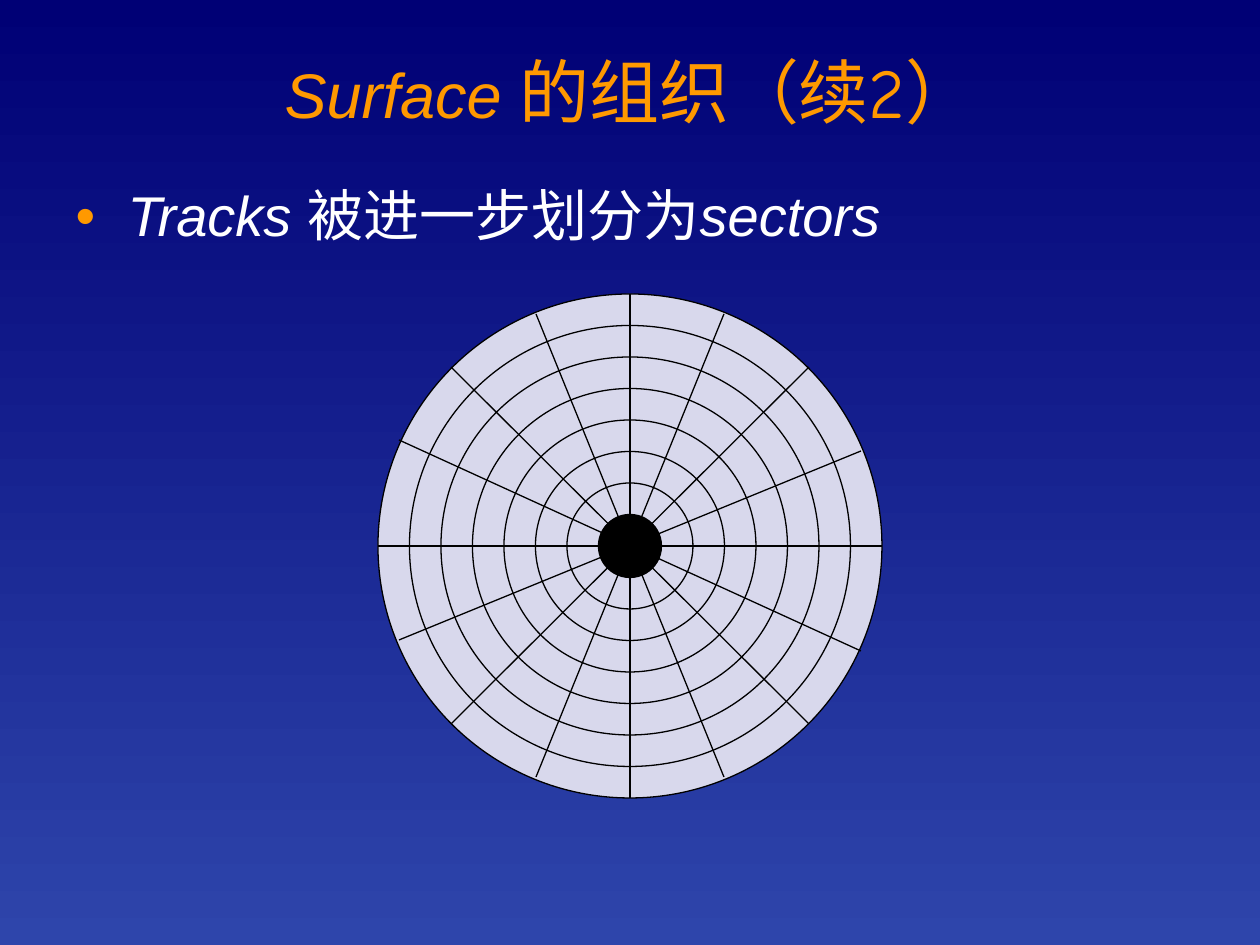
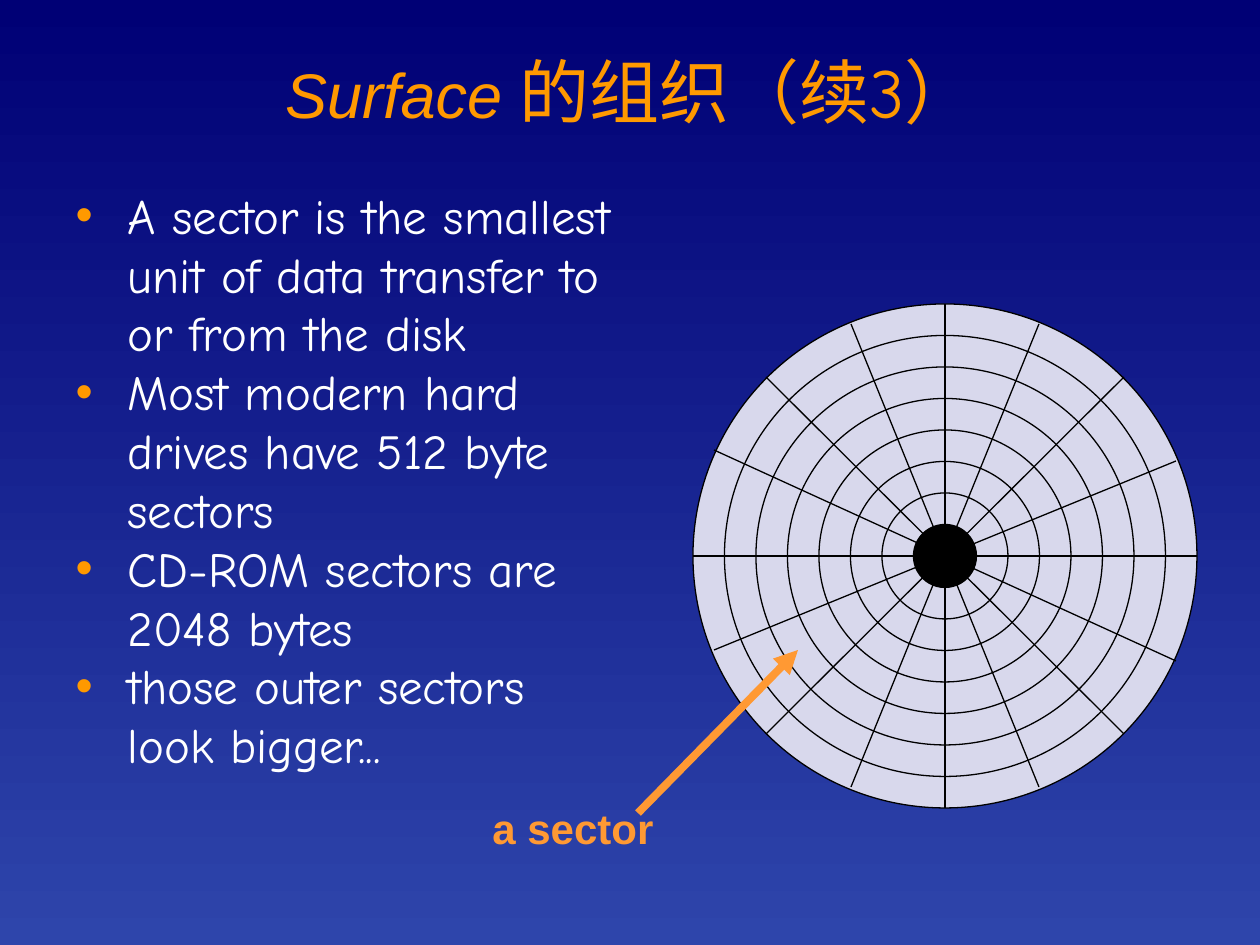
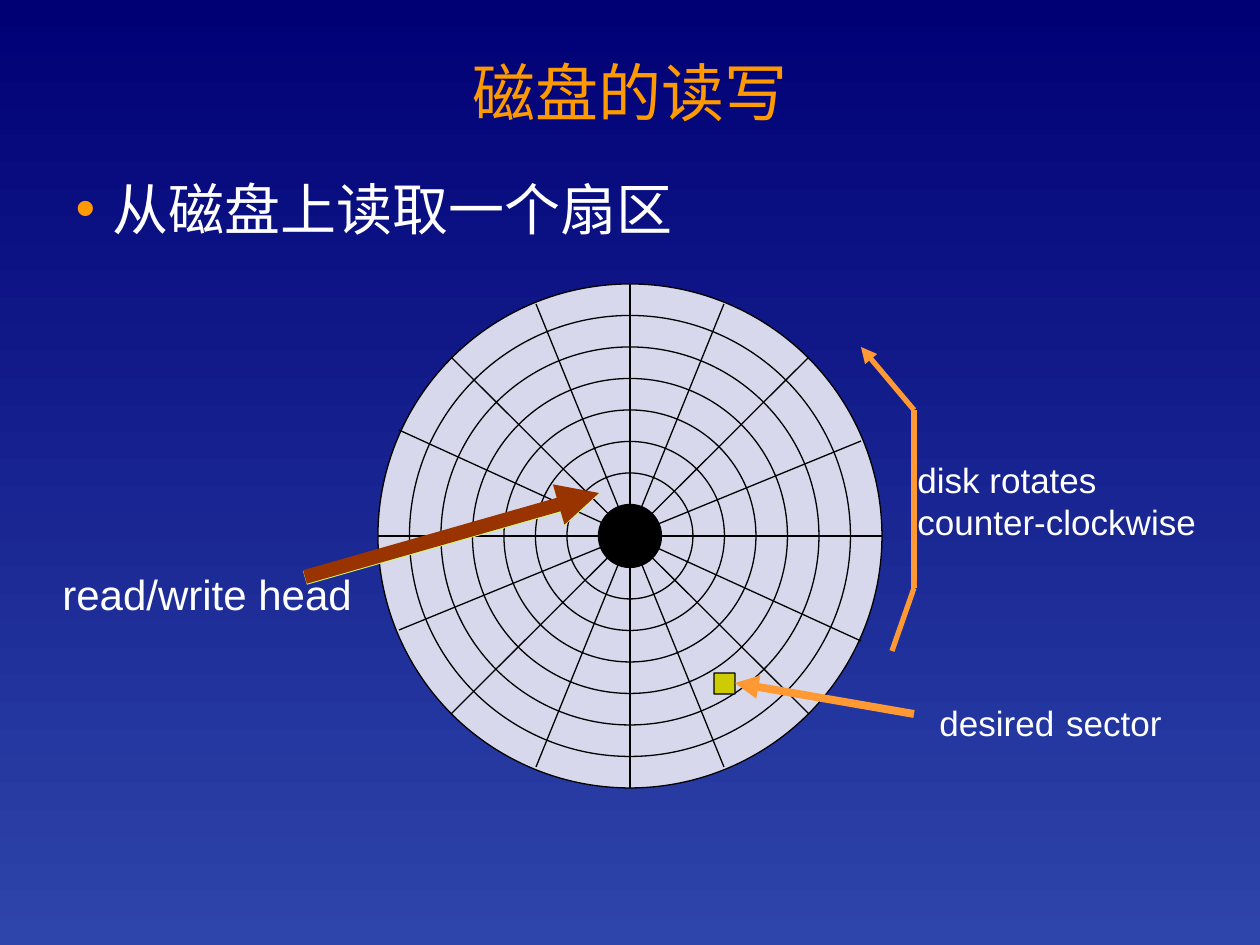
from copy import deepcopy
from dataclasses import dataclass
from itertools import pairwise

from lxml import etree
from pptx import Presentation
from pptx.dml.color import RGBColor
from pptx.enum.shapes import MSO_CONNECTOR, MSO_SHAPE
from pptx.enum.text import MSO_ANCHOR, MSO_AUTO_SIZE, PP_ALIGN
from pptx.oxml.ns import qn
from pptx.util import Emu, Pt

STRAIGHT = MSO_CONNECTOR.STRAIGHT
ELLIPSE = MSO_SHAPE.OVAL
ROUNDED = MSO_SHAPE.ROUNDED_RECTANGLE
MIDDLE = MSO_ANCHOR.MIDDLE
CENTER = PP_ALIGN.CENTER
FIT_SHAPE = MSO_AUTO_SIZE.SHAPE_TO_FIT_TEXT
NO_FIT = MSO_AUTO_SIZE.NONE

PX_PER_INCH = 126
TITLE_BOX = (63, 32, 1134, 130)
DISC_SIZE = 504
TRACK_STEP = 63
SPOKES = (
    (252, 504, 252, 0), (0, 252, 504, 252),
    (73, 430, 431, 73), (431, 430, 73, 73),
    (158, 20, 346, 483), (346, 20, 158, 483),
    (21, 146, 483, 357), (21, 346, 483, 157),
)


@dataclass(frozen=True)
class Theme:
    """Colours, fonts, type sizes and line widths of the deck."""
    sky_top: str = "000075"
    sky_bottom: str = "2E45AB"
    title: str = "FF9900"
    body: str = "FFFFFF"
    accent: str = "FF9933"
    disc: str = "D8D8EC"
    ink: str = "000000"
    head: str = "993300"
    head_edge: str = "CCFF66"
    target: str = "CCCC00"
    sans: str = "Arial"
    hand: str = "Comic Neue"
    chinese: str = "Noto Sans CJK SC"
    title_size: int = 36
    title_large: int = 40
    lead_size: int = 32
    list_size: int = 28
    label_size: int = 24
    note_size: int = 20
    hairline: float = 0.75
    turn_line: float = 3
    arrow_line: float = 4.5
    head_line: float = 8


THEME = Theme()


@dataclass(frozen=True)
class Span:
    """A stretch of text with one format."""
    text: str
    size: int
    font: str = THEME.sans
    italic: bool = False
    bold: bool = False


def px(length):
    """Turn pixels into EMU."""
    return Emu(round(length * 914400 / PX_PER_INCH))


def place(shape, box):
    """Move a shape to a box given in pixels."""
    shape.left, shape.top, shape.width, shape.height = map(px, box)


def write(para, spans, color, spacing):
    """Fill a paragraph with formatted spans; a newline breaks the line."""
    para.line_spacing = spacing
    para.space_before = Pt(0)
    for span in spans:
        for index, line in enumerate(span.text.split("\n")):
            if index:
                para.add_line_break()
            run = para.add_run()
            run.text = line
            font = run.font
            font.name, font.size = span.font, Pt(span.size)
            font.italic, font.bold = span.italic, span.bold
            font.color.rgb = RGBColor.from_string(color)
            properties = run._r.get_or_add_rPr()
            etree.SubElement(properties, qn("a:ea"), typeface=THEME.chinese)
    for line_break in para._p.findall(qn("a:br")):
        line_break.append(deepcopy(properties))


def add_bullet(para, indent):
    """Give a paragraph a coloured round bullet and a hanging indent."""
    properties = para._p.get_or_add_pPr()
    properties.set("marL", str(px(indent)))
    properties.set("indent", str(-px(indent)))
    color = etree.SubElement(properties, qn("a:buClr"))
    etree.SubElement(color, qn("a:srgbClr"), val=THEME.title)
    etree.SubElement(properties, qn("a:buFont"), typeface=THEME.sans)
    etree.SubElement(properties, qn("a:buChar"), char="•")


def add_page(deck, title, body_box, items, indent=52, spacing=1.0):
    """Add a slide with its title and bulleted list."""
    page = deck.slides.add_slide(deck.slide_layouts[1])
    heading, body = page.placeholders
    place(heading, TITLE_BOX)
    heading.text_frame.vertical_anchor = MIDDLE
    heading.text_frame.auto_size = NO_FIT
    para = heading.text_frame.paragraphs[0]
    para.alignment = CENTER
    write(para, title, THEME.title, 0.85)
    place(body, body_box)
    frame = body.text_frame
    frame.auto_size = NO_FIT
    for index, spans in enumerate(items):
        para = frame.add_paragraph() if index else frame.paragraphs[0]
        add_bullet(para, indent)
        write(para, spans, THEME.body, spacing)
    return page


def add_shape(parent, kind, box, fill=None):
    """Draw an outlined preset shape."""
    shape = parent.shapes.add_shape(kind, *map(px, box))
    shape.shadow.inherit = False
    if fill:
        shape.fill.solid()
        shape.fill.fore_color.rgb = RGBColor.from_string(fill)
    else:
        shape.fill.background()
    shape.line.color.rgb = RGBColor.from_string(THEME.ink)
    shape.line.width = Pt(THEME.hairline)
    return shape


def add_line(parent, start, end, color, width, arrow=False):
    """Draw a straight line, with an arrowhead at its end if asked."""
    line = parent.shapes.add_connector(STRAIGHT, *map(px, (*start, *end)))
    line.line.color.rgb = RGBColor.from_string(color)
    line.line.width = Pt(width)
    properties = line._element.spPr
    if arrow:
        etree.SubElement(properties.find(qn("a:ln")), qn("a:tailEnd"), type="triangle")
    etree.SubElement(properties, qn("a:effectLst"))


def add_disc(page, left, top):
    """Draw the disk surface with its hub, tracks and sector lines."""
    group = page.shapes.add_group_shape()

    def add_circle(steps, fill=None):
        """Draw a concentric circle some track steps wide."""
        size = steps * TRACK_STEP
        inset = (DISC_SIZE - size) / 2
        add_shape(group, ELLIPSE, (left + inset, top + inset, size, size), fill)

    add_circle(8, THEME.disc)
    add_circle(1, THEME.ink)
    for steps in range(2, 8):
        add_circle(steps)
    for x1, y1, x2, y2 in SPOKES:
        add_line(group, (left + x1, top + y1), (left + x2, top + y2),
                 THEME.ink, THEME.hairline)


def add_label(page, box, lines, color=THEME.body, spacing=0.93):
    """Add an unwrapped label with one paragraph for each line."""
    label = page.shapes.add_textbox(*map(px, box))
    frame = label.text_frame
    frame.word_wrap = False
    frame.auto_size = FIT_SHAPE
    for index, spans in enumerate(lines):
        para = frame.add_paragraph() if index else frame.paragraphs[0]
        write(para, spans, color, spacing)


def surface_title(number):
    """Return the title spans of a numbered surface slide."""
    large = THEME.title_large
    return [Span("Surface ", THEME.title_size, italic=True), Span("的组织（续", large),
            Span(number, large, THEME.hand), Span("）", large)]


def add_tracks_page(deck):
    """Build the slide on dividing tracks into sectors."""
    size = THEME.lead_size
    item = [Span("Tracks ", size, italic=True),
            Span("被进一步划分为", size, THEME.chinese),
            Span("sectors", size, italic=True)]
    page = add_page(deck, surface_title("2"), (63, 179, 1134, 677), [item], spacing=0.96)
    add_disc(page, 378, 294)


def add_sectors_page(deck):
    """Build the slide on sector sizes."""
    texts = ("A sector is the smallest\nunit of data transfer to\nor from the disk",
             "Most modern hard\ndrives have 512 byte\nsectors",
             "CD-ROM sectors are\n2048 bytes",
             "those outer sectors\nlook bigger...")
    items = [[Span(text, THEME.list_size, THEME.hand)] for text in texts]
    page = add_page(deck, surface_title("3"), (63, 179, 1134, 667), items)
    add_disc(page, 693, 304)
    add_label(page, (480, 801, 192, 59),
              [[Span("a sector", THEME.label_size, bold=True)]], THEME.accent)
    add_line(page, (638, 813), (798, 650), THEME.accent, THEME.arrow_line, True)


def add_reading_page(deck):
    """Build the slide on reading one sector."""
    title = [Span("磁盘的读写", THEME.title_size, THEME.chinese)]
    item = [Span("从磁盘上读取一个扇区", THEME.lead_size, THEME.hand)]
    page = add_page(deck, title, (63, 168, 1134, 703), [item], indent=37)
    add_disc(page, 378, 284)
    target = add_shape(page, ROUNDED, (714, 673, 21, 21), THEME.target)
    target.adjustments[0] = 0.01
    for color, shift in ((THEME.head_edge, 1), (THEME.head, 0)):
        add_line(page, (305, 577 + shift), (599, 493 + shift), color, THEME.head_line, True)
    add_label(page, (50, 567, 341, 59), [[Span("read/write head", THEME.label_size)]])
    add_line(page, (914, 714), (735, 683), THEME.accent, THEME.arrow_line, True)
    note = THEME.note_size
    add_label(page, (927, 693, 261, 59),
              [[Span("desired", note), Span(" ", THEME.label_size), Span("sector", note)]])
    turn = ((892, 651), (914, 588), (914, 410), (861, 347))
    for start, end in pairwise(turn):
        add_line(page, start, end, THEME.accent, THEME.turn_line, end == turn[-1])
    add_label(page, (905, 452, 320, 95),
              [[Span("disk rotates", note)], [Span("counter-clockwise", note)]], spacing=1.0)


def paint_background(master):
    """Give every slide the shared vertical gradient."""
    fill = master.background.fill
    fill.gradient()
    fill.gradient_angle = 270
    for stop, color in zip(fill.gradient_stops, (THEME.sky_top, THEME.sky_bottom)):
        stop.color.rgb = RGBColor.from_string(color)


def main():
    """Build and save the deck."""
    deck = Presentation()
    deck.slide_width, deck.slide_height = px(1260), px(945)
    paint_background(deck.slide_master)
    add_tracks_page(deck)
    add_sectors_page(deck)
    add_reading_page(deck)
    deck.save("out.pptx")


if __name__ == "__main__":
    main()
